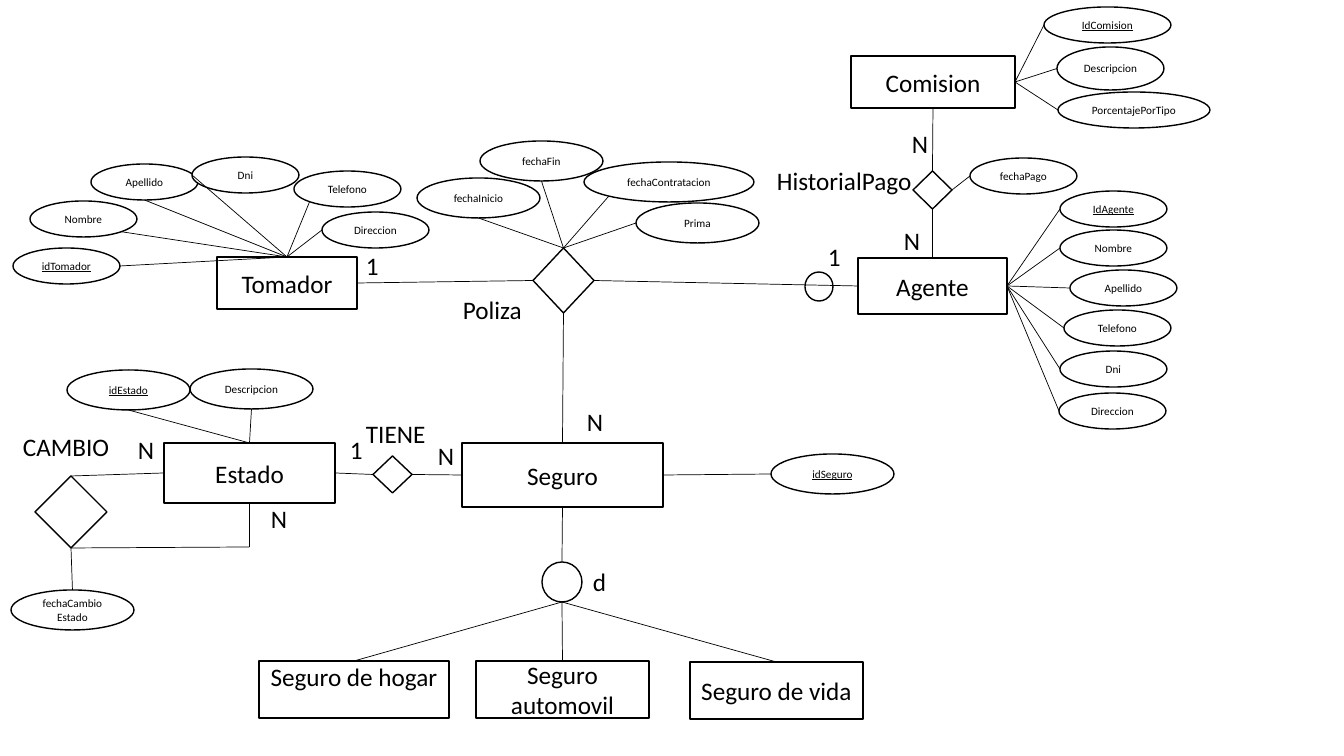
import pptx
import pptx.util
import pptx.dml.color
import pptx.enum.shapes
import pptx.enum.text
import lxml.etree

EMU_PER_PIXEL = 914400 / 100.8
BLACK, WHITE = "000000", "FFFFFF"
FONT = "Calibri"
SHAPES = pptx.enum.shapes.MSO_SHAPE
ANCHOR = pptx.enum.text.MSO_ANCHOR
DRAWING = "{http://schemas.openxmlformats.org/drawingml/2006/main}"

# Connection sites in the order in which the presets number them.
FOUR_SITES = ["top", "left", "bottom", "right"]
OVAL_SITES = ["top", "top left", "left", "bottom left",
              "bottom", "bottom right", "right", "top right"]
ARC_NEAR, ARC_FAR = 0.146, 0.854

ENTITIES = {
    "Tomador": (217, 257, 140, 52),
    "Agente": (858, 258, 149, 56),
    "Seguro": (462, 443, 201, 64),
    "Estado": (164, 443, 171, 60),
    "Comision": (851, 56, 164, 52),
    "Seguro de hogar": (259, 661, 190, 57),
    "Seguro automovil": (476, 661, 173, 57),
    "Seguro de vida": (690, 662, 173, 57),
}
RELATIONS = {
    "Poliza": (533, 248, 61, 65),
    "CAMBIO": (35, 476, 72, 72),
    "HistorialPago": (913, 171, 39, 38),
    "TIENE": (373, 456, 39, 37),
}
PARTICIPATION = (805, 272, 28, 29)
DISJOINT = (542, 562, 40, 40)

SMALL, LARGE = (107, 36), (123, 40)
# (owner, owner site): name, left, top, size, attribute site (None: no line)
ATTRIBUTES = {
    ("Tomador", "top"): [
        ("Nombre", 30, 201, SMALL, "bottom right"),
        ("Apellido", 91, 164, SMALL, "bottom"),
        ("Telefono", 294, 171, SMALL, "bottom left"),
        ("Dni", 192, 157, SMALL, "left"),
        ("idTomador", 13, 248, SMALL, "right"),
        ("Direccion", 322, 212, SMALL, "left"),
    ],
    ("Agente", "right"): [
        ("IdAgente", 1060, 191, SMALL, "left"),
        ("Nombre", 1060, 230, SMALL, "left"),
        ("Apellido", 1070, 270, SMALL, "left"),
        ("Telefono", 1064, 310, SMALL, "left"),
        ("Dni", 1060, 351, SMALL, "left"),
        ("Direccion", 1059, 393, SMALL, "left"),
    ],
    ("Poliza", "top"): [
        ("fechaInicio", 417, 178, LARGE, "bottom"),
        ("fechaFin", 480, 141, LARGE, "bottom"),
        ("fechaContratacion", 584, 162, (170, 40), "bottom left"),
        ("Prima", 636, 203, LARGE, "left"),
    ],
    ("Seguro", "right"): [("idSeguro", 771, 454, LARGE, "left")],
    ("Estado", "top"): [
        ("idEstado", 67, 370, LARGE, "bottom"),
        ("Descripcion", 190, 369, LARGE, "bottom"),
    ],
    ("CAMBIO", "bottom"): [("fechaCambio\nEstado", 11, 590, LARGE, "top")],
    ("Comision", "right"): [
        ("IdComision", 1044, 7, (127, 36), "left"),
        ("Descripcion", 1057, 47, (107, 43), "left"),
        ("PorcentajePorTipo", 1058, 92, (152, 36), "left"),
    ],
    ("HistorialPago", "right"): [("fechaPago", 970, 158, SMALL, "left")],
}
LINKS = [
    ("Agente", "left", "Poliza", "right"),
    ("Poliza", "left", "Tomador", "right"),
    ("Poliza", "bottom", "Seguro", "top"),
    ("HistorialPago", "top", "Comision", "bottom"),
    ("HistorialPago", "bottom", "Agente", "top"),
    ("TIENE", "left", "Estado", "right"),
    ("TIENE", "right", "Seguro", "left"),
    ("CAMBIO", "top", "Estado", "left"),
    ("disjoint", "top", "Seguro", "bottom"),
    ("disjoint", "bottom", "Seguro de hogar", "top"),
    ("disjoint", "bottom", "Seguro automovil", "top"),
    ("disjoint", "bottom", "Seguro de vida", "top"),
]
LABELS = [
    ("Poliza", 453, 289, 88), ("HistorialPago", 767, 160, 166),
    ("CAMBIO", 13, 426, 115), ("TIENE", 356, 413, 93),
    ("d", 583, 561, 42), ("1", 818, 236, 42), ("1", 356, 245, 42),
    ("1", 340, 429, 42), ("N", 577, 401, 42), ("N", 894, 220, 42),
    ("N", 902, 123, 42), ("N", 261, 498, 42), ("N", 128, 429, 42),
    ("N", 428, 435, 42),
]


def px(*pixels):
    """Turn pixel lengths into a list of EMU lengths."""
    return [pptx.util.Emu(round(pixel * EMU_PER_PIXEL)) for pixel in pixels]


def color(hex_string):
    """Return the colour for a hex string."""
    return pptx.dml.color.RGBColor.from_string(hex_string)


def write(shape, text, size, alignment, underline=False):
    """Put text in a shape, one paragraph per line of the text."""
    frame = shape.text_frame
    frame.word_wrap = True
    for index, line in enumerate(text.split("\n")):
        paragraph = frame.add_paragraph() if index else frame.paragraphs[0]
        paragraph.alignment = alignment
        run = paragraph.add_run()
        run.text = line
        run.font.name = FONT
        run.font.size = pptx.util.Pt(size)
        run.font.color.rgb = color(BLACK)
        if underline:
            run.font.underline = True


def add_outline(slide, preset, box, text="", size=18, underline=False):
    """Add a white preset shape with a black line and centred text."""
    shape = slide.shapes.add_shape(preset, *px(*box))
    shape.shadow.inherit = False
    shape.fill.solid()
    shape.fill.fore_color.rgb = color(WHITE)
    shape.line.color.rgb = color(BLACK)
    shape.line.width = pptx.util.Pt(1)
    if text:
        shape.text_frame.vertical_anchor = ANCHOR.MIDDLE
        write(shape, text, size, pptx.enum.text.PP_ALIGN.CENTER, underline)
    return shape


def add_label(slide, text, left, top, width):
    """Add a left-aligned name or cardinality."""
    box = slide.shapes.add_textbox(*px(left, top, width, 40))
    write(box, text, 18, pptx.enum.text.PP_ALIGN.LEFT)


def site_point(shape, site):
    """Return the position of a named connection site."""
    oval = shape.auto_shape_type == SHAPES.OVAL
    near, far = (ARC_NEAR, ARC_FAR) if oval and " " in site else (0, 1)
    across = near if "left" in site else far if "right" in site else 0.5
    down = near if "top" in site else far if "bottom" in site else 0.5
    return (round(shape.left + across * shape.width),
            round(shape.top + down * shape.height))


def add_line(slide, start, end):
    """Add a thin black line between two points in EMU."""
    straight = pptx.enum.shapes.MSO_CONNECTOR.STRAIGHT
    line = slide.shapes.add_connector(straight, *start, *end)
    line.line.color.rgb = color(BLACK)
    line.line.width = pptx.util.Pt(0.5)
    lxml.etree.SubElement(line._element.spPr, DRAWING + "effectLst")
    return line


def link(slide, start, start_site, end, end_site):
    """Join two shapes by a line glued to their connection sites."""
    line = add_line(slide, site_point(start, start_site), site_point(end, end_site))
    glue = line._element.nvCxnSpPr.cNvCxnSpPr
    for tag, shape, site in (("stCxn", start, start_site), ("endCxn", end, end_site)):
        sites = OVAL_SITES if shape.auto_shape_type == SHAPES.OVAL else FOUR_SITES
        lxml.etree.SubElement(glue, DRAWING + tag, id=str(shape.shape_id),
                              idx=str(sites.index(site)))


def main():
    """Build the entity-relationship diagram."""
    presentation = pptx.Presentation()
    presentation.slide_width, presentation.slide_height = px(1344, 756)
    slide = presentation.slides.add_slide(presentation.slide_layouts[6])

    add_outline(slide, SHAPES.OVAL, PARTICIPATION)
    nodes = {"disjoint": add_outline(slide, SHAPES.OVAL, DISJOINT)}
    for name, box in ENTITIES.items():
        nodes[name] = add_outline(slide, SHAPES.RECTANGLE, box, name)
    for name, box in RELATIONS.items():
        nodes[name] = add_outline(slide, SHAPES.DIAMOND, box)
    home_frame = nodes["Seguro de hogar"].text_frame
    home_frame.vertical_anchor = ANCHOR.TOP
    home_frame.margin_top = 0

    attribute_links = []
    for (owner, owner_site), attributes in ATTRIBUTES.items():
        for name, left, top, size, site in attributes:
            is_key = name.lower().startswith("id")
            oval = add_outline(slide, SHAPES.OVAL, (left, top, *size), name, 8, is_key)
            attribute_links.append((nodes[owner], owner_site, oval, site))
    for ends in attribute_links:
        link(slide, *ends)
    for start, start_site, end, end_site in LINKS:
        link(slide, nodes[start], start_site, nodes[end], end_site)

    loop_start = site_point(nodes["CAMBIO"], "bottom")
    loop_end = site_point(nodes["Estado"], "bottom")
    corner = (loop_end[0], px(547)[0])
    add_line(slide, loop_start, corner)
    add_line(slide, corner, loop_end)

    for label in LABELS:
        add_label(slide, *label)
    presentation.save("out.pptx")


main()
